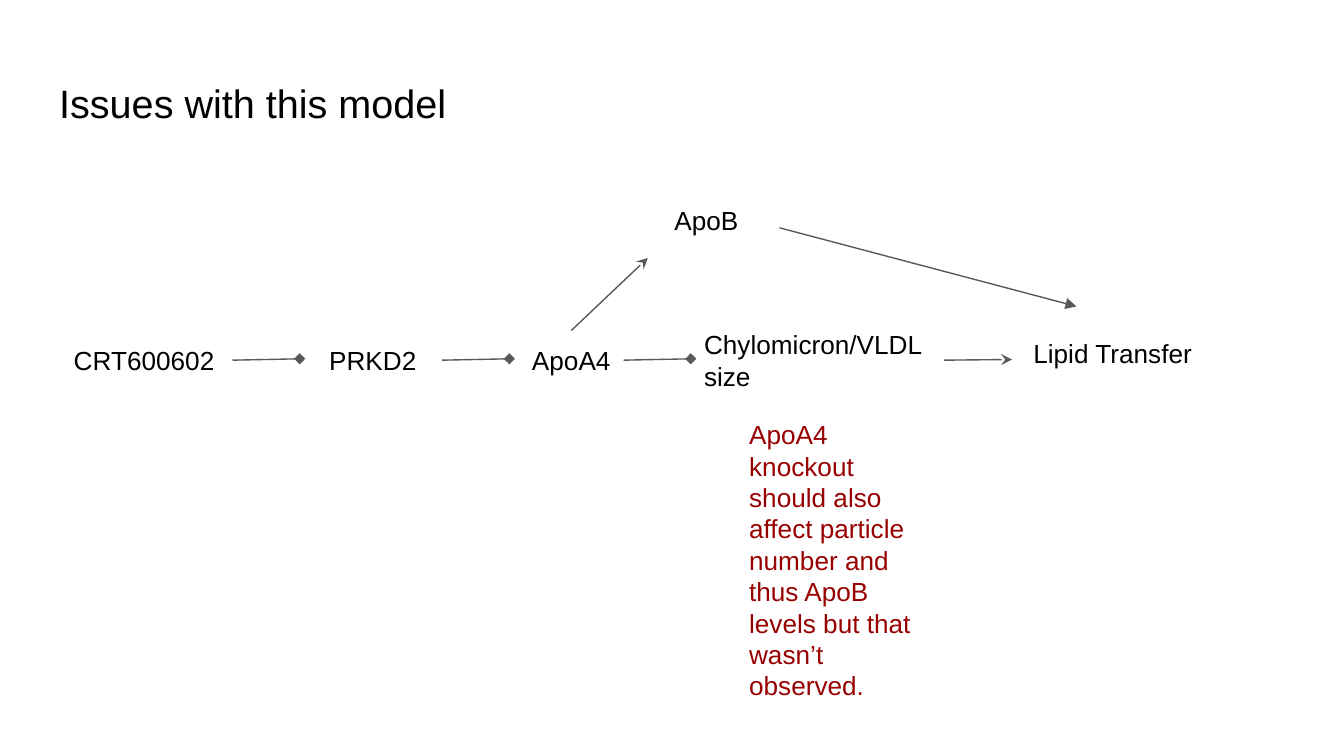
import pptx
import pptx.util
import pptx.dml.color
import pptx.enum.shapes
import pptx.enum.text
import pptx.oxml.ns
import lxml.etree

BLACK = pptx.dml.color.RGBColor(0x00, 0x00, 0x00)
GREY = pptx.dml.color.RGBColor(0x59, 0x59, 0x59)
RED = pptx.dml.color.RGBColor(0x98, 0x00, 0x00)
EMU_PER_PX = 4572


def px(*lengths):
    return [pptx.util.Emu(length * EMU_PER_PX) for length in lengths]


def write_text(frame, text, size=14, color=BLACK, grow=True):
    fit = pptx.enum.text.MSO_AUTO_SIZE
    frame.word_wrap = True
    frame.auto_size = fit.SHAPE_TO_FIT_TEXT if grow else fit.NONE
    frame.vertical_anchor = pptx.enum.text.MSO_ANCHOR.TOP
    margin, = px(20)
    frame.margin_left = frame.margin_right = margin
    frame.margin_top = frame.margin_bottom = margin
    para = frame.paragraphs[0]
    para.alignment = pptx.enum.text.PP_ALIGN.LEFT
    span = para.add_run()
    span.text = text
    span.font.name = "Arial"
    span.font.size = pptx.util.Pt(size)
    span.font.color.rgb = color


class PathwaySlide:
    def __init__(self, deck):
        self.page = deck.slides.add_slide(deck.slide_layouts[5])
        self.line_color = GREY
        self.line_width = pptx.util.Pt(0.75)

    def title(self, text, left, top, width, height):
        box = self.page.shapes.title
        box.left, box.top, box.width, box.height = px(left, top, width, height)
        write_text(box.text_frame, text, size=21.2, grow=False)

    def label(self, text, left, top, width, height, color=BLACK):
        box = self.page.shapes.add_textbox(*px(left, top, width, height))
        write_text(box.text_frame, text, color=color)

    def arrow(self, start, end, head):
        connector = self.page.shapes.add_connector(
            pptx.enum.shapes.MSO_CONNECTOR.STRAIGHT, *px(*start, *end))
        connector.line.color.rgb = self.line_color
        connector.line.width = self.line_width
        qn = pptx.oxml.ns.qn
        outline = connector.line._get_or_add_ln()
        lxml.etree.SubElement(outline, qn("a:tailEnd"), type=head, w="med", len="med")
        lxml.etree.SubElement(connector._element.spPr, qn("a:effectLst"))


def main():
    deck = pptx.Presentation()
    deck.slide_width, deck.slide_height = px(2000, 1125)
    slide = PathwaySlide(deck)
    slide.title("Issues with this model", 68, 98, 1864, 126)

    for text, left in (("CRT600602", 90), ("PRKD2", 470), ("ApoA4", 772)):
        slide.label(text, left, 493, 256, 88)
    slide.label("Chylomicron/VLDL size", 1028, 469, 388, 134)
    slide.label("Lipid Transfer", 1518, 482, 388, 88)
    slide.label("ApoB", 984, 284, 254, 88)
    slide.label("ApoA4 knockout should also affect particle number and thus "
                "ApoB levels but that wasn’t observed.",
                1095, 603, 316, 464, color=RED)

    for left in (346, 658, 928):
        slide.arrow((left, 536), (left + 100, 534), "diamond")
    slide.arrow((1405, 536), (1506, 535), "stealth")
    slide.arrow((850, 492), (964, 384), "stealth")
    slide.arrow((1160, 339), (1602, 456), "triangle")
    deck.save("out.pptx")


if __name__ == "__main__":
    main()
